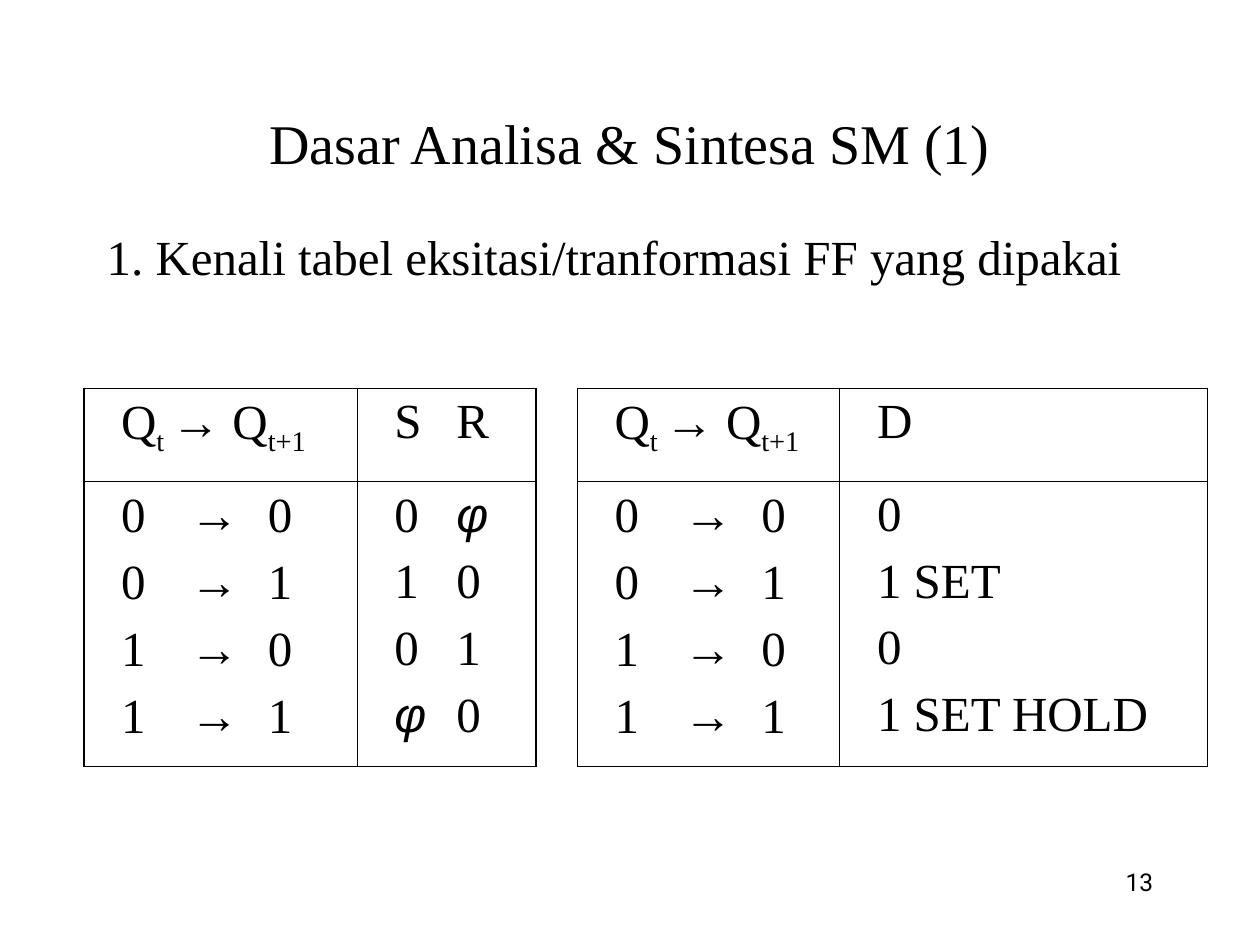
from lxml.etree import SubElement as Sub
from pptx import Presentation
from pptx.dml.color import RGBColor
from pptx.enum.text import MSO_ANCHOR as Anchor, PP_ALIGN as Align
from pptx.oxml.ns import qn
from pptx.util import Cm, Pt

BLACK = RGBColor(0, 0, 0)
SERIF = "Times New Roman"
SANS = "Arial"
ARROW = ("→", {"face": SANS})
PHI = ("φ", {"face": SANS, "slant": True})
LOW = {"base": -25000}
HEAD = [[("Q", {}), ("t ", LOW), ARROW, (" Q", {}), ("t+1", LOW)]]
STEPS = [[(f"{old}\t", {}), ARROW, (f"\t{new}", {})]
         for old in (0, 1) for new in (0, 1)]
STEP_TABS = (1.39, 2.96)
PAIR_TABS = (1.25,)
ROWS = (1.88, 5.74)
TOP = 7.83


def plain(*lines):
    return [[(line, {})] for line in lines]


def add_run(para, text, size=28, face=SERIF, slant=None, base=None):
    run = para.add_run()
    run.text = text
    font = run.font
    font.size = Pt(size)
    font.name = face
    font.italic = slant
    font.color.rgb = BLACK
    if base:
        font._element.set("baseline", str(base))


def set_tabs(para, stops):
    tabs = Sub(para._p.get_or_add_pPr(), qn("a:tabLst"))
    for stop in stops:
        Sub(tabs, qn("a:tab"), pos=str(Cm(stop)), algn="l")


def fill_text(frame, lines, stops=()):
    for i, line in enumerate(lines):
        para = frame.add_paragraph() if i else frame.paragraphs[0]
        if stops:
            set_tabs(para, stops)
        if i:
            para.space_before = Pt(7)
        for text, style in line:
            add_run(para, text, **style)


def add_text(slide, box, text, size, face=SERIF, align=Align.LEFT,
             anchor=Anchor.TOP):
    frame = slide.shapes.add_textbox(*map(Cm, box)).text_frame
    frame.word_wrap = True
    frame.vertical_anchor = anchor
    para = frame.paragraphs[0]
    para.alignment = align
    add_run(para, text, size, face)


def set_edge(cell, side, width):
    line = Sub(cell._tc.get_or_add_tcPr(), qn(f"a:ln{side}"),
               w=str(Pt(width)))
    fill = Sub(line, qn("a:solidFill"))
    Sub(fill, qn("a:srgbClr"), val=str(BLACK))


def add_grid(slide, left, cols, cells, stops):
    shape = slide.shapes.add_table(2, 2, Cm(left), Cm(TOP),
                                   Cm(sum(cols)), Cm(sum(ROWS)))
    table = shape.table
    table.first_row = table.horz_banding = False
    for col, width in zip(table.columns, cols):
        col.width = Cm(width)
    for row, height in zip(table.rows, ROWS):
        row.height = Cm(height)
    for r in range(2):
        for c in range(2):
            cell = table.cell(r, c)
            outer = {"L": c == 0, "R": c == 1, "T": r == 0, "B": r == 1}
            for side, edge in outer.items():
                set_edge(cell, side, 1.08 if edge else 0.45)
            cell.fill.background()
            cell.margin_left = Cm(0.75)
            fill_text(cell.text_frame, cells[r][c], stops[c])


def main():
    deck = Presentation()
    deck.slide_width, deck.slide_height = Cm(25.4), Cm(19.05)
    slide = deck.slides.add_slide(deck.slide_layouts[6])
    add_text(slide, (1.9, 1.7, 21.6, 2.34), "Dasar Analisa & Sintesa SM (1)",
             32, align=Align.CENTER, anchor=Anchor.MIDDLE)
    add_text(slide, (1.9, 4.45, 21.4, 1.9),
             "1. Kenali tabel eksitasi/tranformasi FF yang dipakai", 28)
    pairs = [[("0\t", {}), PHI], *plain("1\t0", "0\t1"), [PHI, ("\t0", {})]]
    add_grid(slide, 1.69, (5.51, 3.6),
             [[HEAD, plain("S\tR")], [STEPS, pairs]],
             (STEP_TABS, PAIR_TABS))
    add_grid(slide, 11.64, (5.29, 7.41),
             [[HEAD, plain("D")],
              [STEPS, plain("0", "1 SET", "0", "1 SET HOLD")]],
             (STEP_TABS, ()))
    add_text(slide, (18.2, 17.36, 5.3, 1.27), "13", 14, "Roboto", Align.RIGHT)
    deck.save("out.pptx")


if __name__ == "__main__":
    main()
